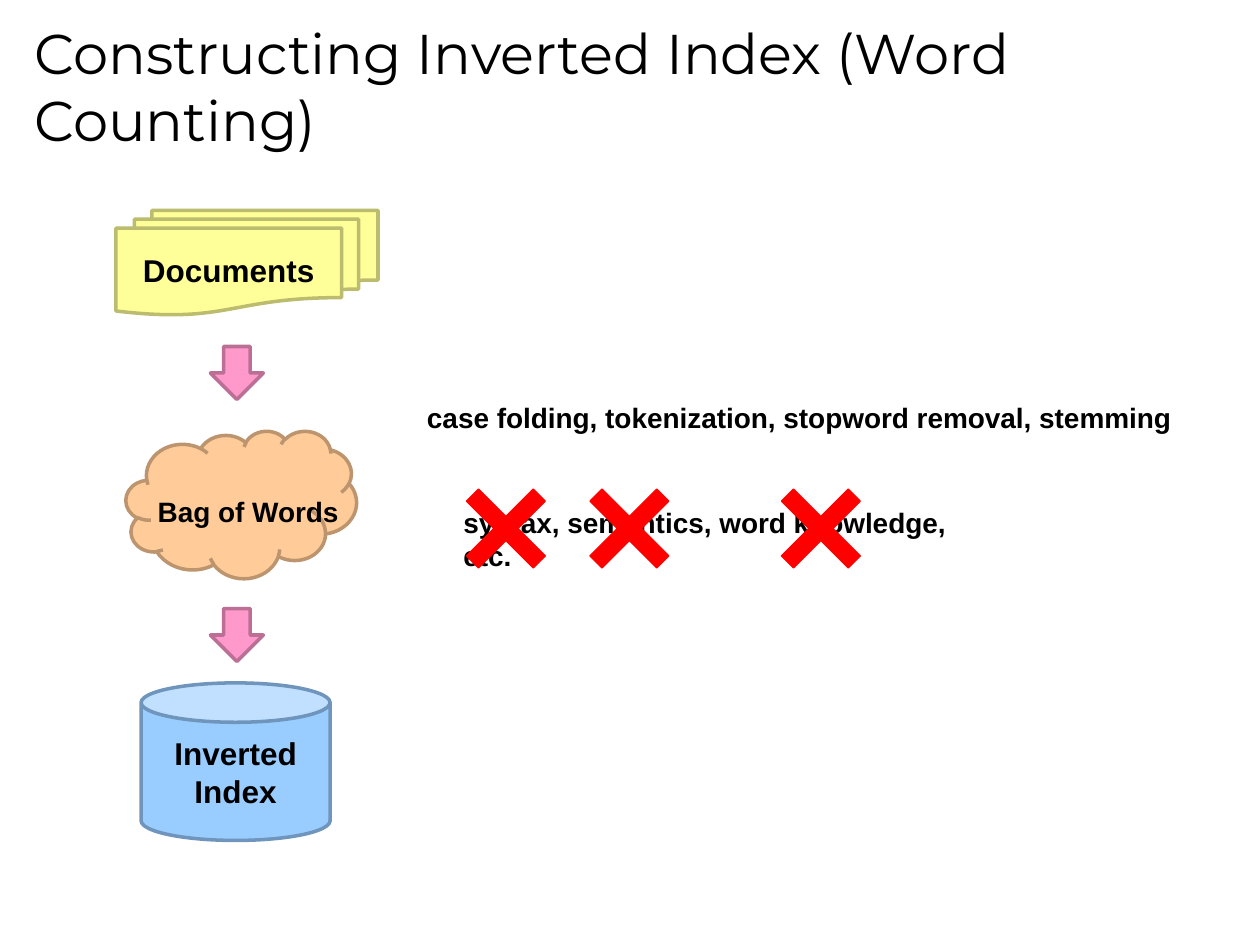
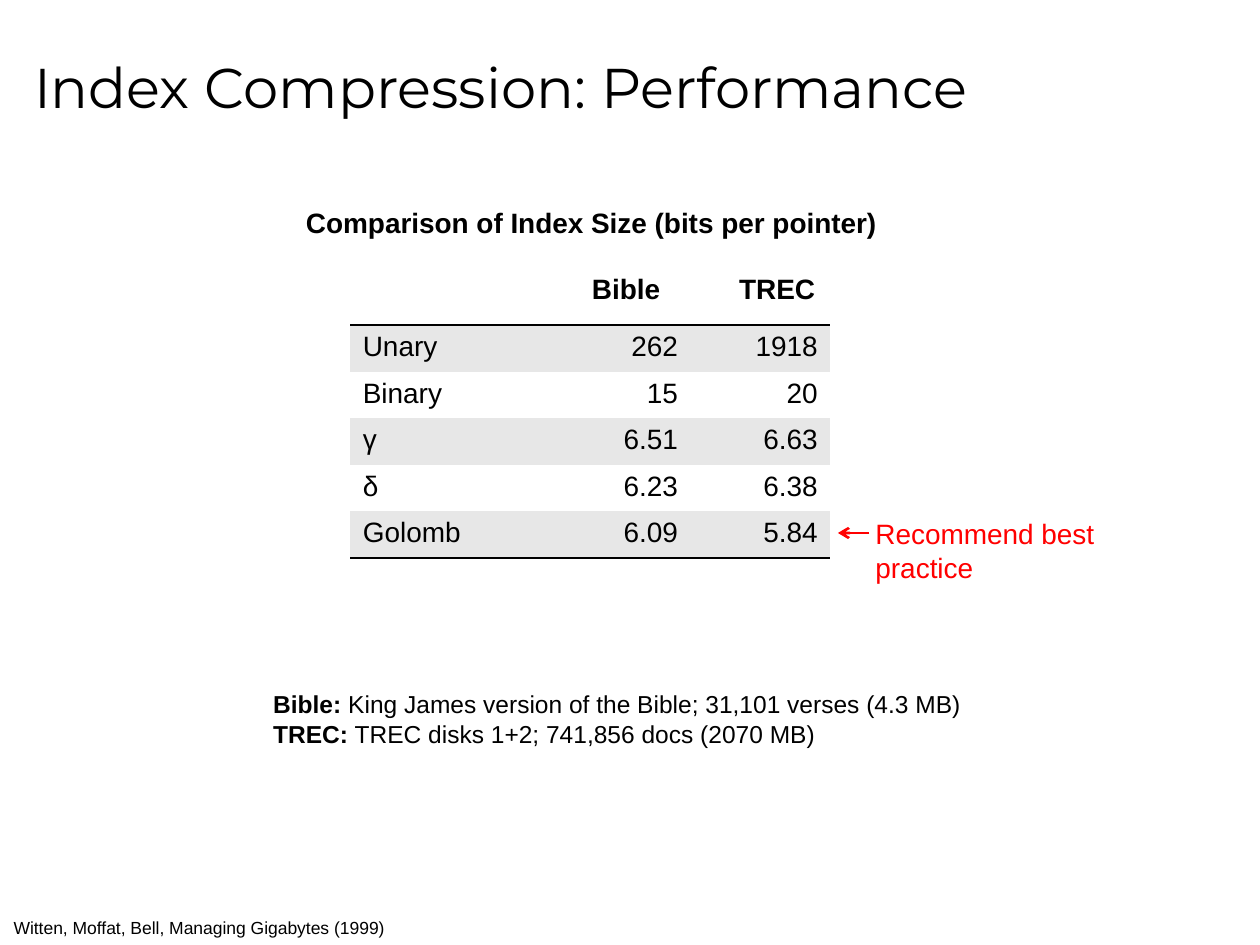
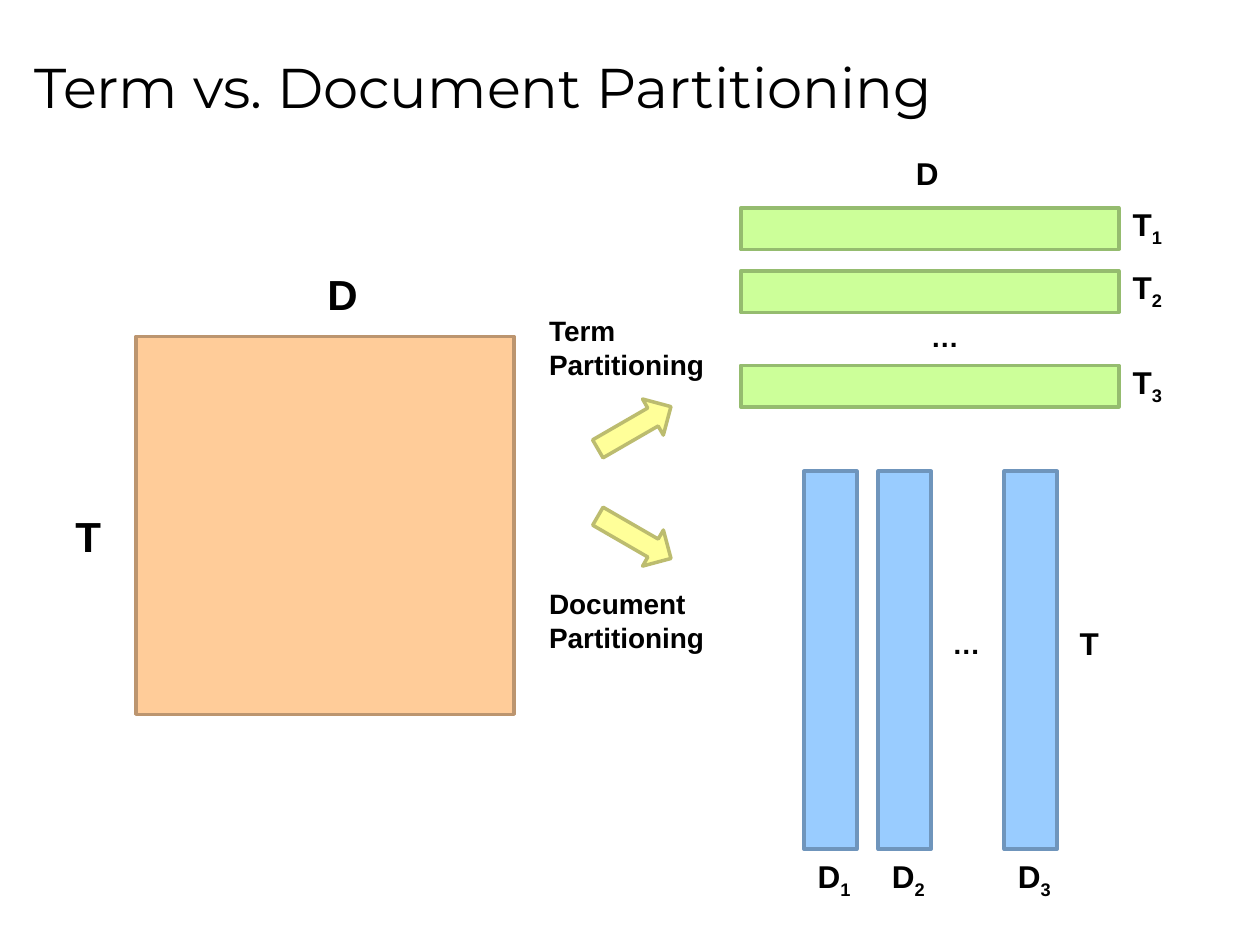
from lxml import etree
from pptx import Presentation
from pptx.dml.color import RGBColor
from pptx.enum import shapes, text
from pptx.oxml import ns
from pptx.util import Inches, Pt

BLACK = RGBColor(0x00, 0x00, 0x00)
WHITE = RGBColor(0xFF, 0xFF, 0xFF)
RED = RGBColor(0xFF, 0x00, 0x00)
GRAY = RGBColor(0xE7, 0xE7, 0xE7)
YELLOW = (RGBColor(0xFF, 0xFF, 0x99), RGBColor(0xBC, 0xBC, 0x6F))
BLUE = (RGBColor(0x99, 0xCC, 0xFF), RGBColor(0x6F, 0x95, 0xBC))
ORANGE = (RGBColor(0xFF, 0xCC, 0x99), RGBColor(0xBC, 0x95, 0x6F))
PINK = (RGBColor(0xFF, 0x99, 0xCC), RGBColor(0xBC, 0x6F, 0x95))
GREEN = (RGBColor(0xCC, 0xFF, 0x99), RGBColor(0x95, 0xBC, 0x6F))
CROSS = (RED, RED)

SHAPE = shapes.MSO_SHAPE
LEFT, CENTER, RIGHT = text.PP_ALIGN.LEFT, text.PP_ALIGN.CENTER, text.PP_ALIGN.RIGHT
NO_STYLE = "{2D5ABB26-0587-4C30-8999-92F81FD0307C}"


def write(tf, lines, size=16, bold=True, color=BLACK, font="Arial", align=LEFT):
    for i, line in enumerate(lines):
        p = tf.add_paragraph() if i else tf.paragraphs[0]
        p.alignment = align
        for words, fmt in [(line, {})] if isinstance(line, str) else line:
            r = p.add_run()
            r.text = words
            r.font.name = font
            r.font.size = Pt(size)
            r.font.bold = fmt.get("bold", bold)
            r.font.color.rgb = color
            if fmt.get("sub"):
                r._r.get_or_add_rPr().set("baseline", "-25000")


def add_title_slide(prs, title):
    s = prs.slides.add_slide(prs.slide_layouts[5])
    sp = s.shapes.title
    sp.left, sp.top, sp.width, sp.height = map(Inches, (0.17, 0.12, 9.5, 1.12))
    tf = sp.text_frame
    tf.vertical_anchor = text.MSO_ANCHOR.MIDDLE
    tf.auto_size = text.MSO_AUTO_SIZE.NONE
    write(tf, [title], size=32, bold=False, font="Montserrat")
    return s


def add_text(s, x, y, w, h, *lines, wrap=False, **fmt):
    tf = s.shapes.add_textbox(*map(Inches, (x, y, w, h))).text_frame
    tf.word_wrap = wrap
    write(tf, lines, **fmt)


def add_indexed(s, x, y, w, letter, index):
    add_text(s, x, y, w, 0.44, [(letter, {}), (str(index), {"sub": True})], size=18)


def add_box(s, kind, x, y, w, h, colors, *lines, size=18, rotation=0, adj=None, width=2):
    sp = s.shapes.add_shape(kind, *map(Inches, (x, y, w, h)))
    sp.shadow.inherit = False
    sp.fill.solid()
    sp.fill.fore_color.rgb, sp.line.color.rgb = colors
    sp.line.width = Pt(width)
    sp.rotation = rotation
    if adj is not None:
        sp.adjustments[0] = adj
    if lines:
        tf = sp.text_frame
        tf.word_wrap = False
        tf.vertical_anchor = text.MSO_ANCHOR.MIDDLE
        write(tf, lines, size=size, align=CENTER)
    return sp


def add_arrow_line(s, x1, y1, x2, y2, color):
    line = s.shapes.add_connector(shapes.MSO_CONNECTOR.STRAIGHT, *map(Inches, (x1, y1, x2, y2)))
    line.line.color.rgb = color
    line.line.width = Pt(1.5)
    etree.SubElement(line.line._get_or_add_ln(), ns.qn("a:tailEnd"), type="arrow")
    etree.SubElement(line._element.spPr, ns.qn("a:effectLst"))


def add_border(cell, side):
    ln = etree.Element(ns.qn("a:" + side), w=str(Pt(0.96)))
    fill = etree.SubElement(ln, ns.qn("a:solidFill"))
    etree.SubElement(fill, ns.qn("a:srgbClr"), val=str(BLACK))
    cell._tc.get_or_add_tcPr().insert(0, ln)


def add_table(s, x, y, widths, rows, bold=False):
    height = 0.37
    size = (sum(widths), height * len(rows))
    table = s.shapes.add_table(len(rows), len(widths), *map(Inches, (x, y, *size))).table
    table.first_row = table.horz_banding = False
    table._tbl.tblPr.find(ns.qn("a:tableStyleId")).text = NO_STYLE
    for column, w in zip(table.columns, widths):
        column.width = Inches(w)
    for row, values in zip(table.rows, rows):
        row.height = Inches(height)
        for cell, (value, align) in zip(row.cells, values):
            cell.fill.background()
            write(cell.text_frame, [value], bold=bold, align=align)
    return table


def build_construction(prs):
    s = add_title_slide(prs, "Constructing Inverted Index (Word Counting)")
    add_box(s, SHAPE.FLOWCHART_MULTIDOCUMENT, 0.92, 1.67, 2.08, 0.83, YELLOW, "Documents")
    add_box(s, SHAPE.CAN, 1.12, 5.42, 1.5, 1.25, BLUE, "Inverted", "Index", adj=0.25)
    cloud = add_box(s, SHAPE.CLOUD, 1, 3.42, 1.83, 1.17, ORANGE, "Bag of Words", size=16)
    cloud.text_frame.margin_left = Inches(0.34)
    cloud.text_frame.margin_top = Inches(0.21)
    for y in (2.75, 4.83):
        add_box(s, SHAPE.RIGHT_ARROW, 1.67, y, 0.42, 0.42, PINK, rotation=90)
    add_text(s, 3.29, 3.13, 6.11, 0.37, "case folding, tokenization, stopword removal, stemming")
    add_text(s, 3.58, 3.96, 4.47, 0.37, "syntax, semantics, word knowledge, etc.")
    for x in (3.64, 4.62, 6.14):
        add_box(s, SHAPE.CROSS, x, 3.82, 0.75, 0.75, CROSS, rotation=45, adj=0.41, width=0.75)


def build_performance(prs):
    s = add_title_slide(prs, "Index Compression: Performance")
    add_text(s, 0.01, 7.23, 3.14, 0.27, "Witten, Moffat, Bell, Managing Gigabytes (1999)",
             size=10, bold=False)
    sizes = [
        ("Unary", "262", "1918"),
        ("Binary", "15", "20"),
        ("γ", "6.51", "6.63"),
        ("δ", "6.23", "6.38"),
        ("Golomb", "6.09", "5.84"),
    ]
    rows = [list(zip(row, (LEFT, RIGHT, RIGHT))) for row in sizes]
    table = add_table(s, 2.78, 2.58, (1.42, 1.28, 1.11), rows)
    for i, row in enumerate(table.rows):
        for cell in row.cells:
            cell.fill.solid()
            cell.fill.fore_color.rgb = WHITE if i % 2 else GRAY
            if i == 0:
                add_border(cell, "lnT")
            elif i == len(sizes) - 1:
                add_border(cell, "lnB")
    add_table(s, 4.11, 2.13, (1.23, 1.23), [[("Bible", RIGHT), ("TREC", RIGHT)]], bold=True)
    add_text(s, 2.07, 5.42, 5.66, 0.57,
             [("Bible:", {"bold": True}),
              (" King James version of the Bible; 31,101 verses (4.3 MB)", {})],
             [("TREC:", {"bold": True}), (" TREC disks 1+2; 741,856 docs (2070 MB)", {})],
             size=14, bold=False)
    add_text(s, 6.85, 4.05, 2.77, 0.37, "Recommend best practice", bold=False, color=RED)
    add_arrow_line(s, 6.9, 4.23, 6.65, 4.23, RED)
    add_text(s, 2.33, 1.58, 4.92, 0.37, "Comparison of Index Size (bits per pointer)", wrap=True)


def build_partitioning(prs):
    s = add_title_slide(prs, "Term vs. Document Partitioning")
    add_box(s, SHAPE.RECTANGLE, 1.08, 2.67, 3, 3, ORANGE)
    add_text(s, 0.5, 4, 0.4, 0.5, "T", size=24)
    add_text(s, 2.5, 2.08, 0.44, 0.5, "D", size=24)

    for i, y in enumerate((1.65, 2.15, 2.9), 1):
        add_box(s, SHAPE.RECTANGLE, 5.88, y, 3, 0.33, GREEN)
        add_indexed(s, 8.89, y - 0.07, 0.43, "T", i)
    add_text(s, 7.29, 2.49, 0.42, 0.37, "…")
    add_text(s, 7.17, 1.17, 0.38, 0.4, "D", size=18)

    for i, x in enumerate((6.38, 6.97, 7.97), 1):
        add_box(s, SHAPE.RECTANGLE, x, 3.74, 0.42, 3, BLUE)
        add_indexed(s, x + 0.01, 6.75, 0.46, "D", i)
    add_text(s, 7.46, 4.92, 0.42, 0.37, "…")
    add_text(s, 8.47, 4.9, 0.35, 0.4, "T", size=18)

    for y, rotation in ((3.23, 330), (4.1, 30)):
        add_box(s, SHAPE.RIGHT_ARROW, 4.7, y, 0.67, 0.33, YELLOW, rotation=rotation)
    for y, word in ((2.44, "Term"), (4.61, "Document")):
        add_text(s, 4.26, y, 1.43, 0.64, word, "Partitioning")


def main():
    prs = Presentation()
    prs.slide_width, prs.slide_height = Inches(10), Inches(7.5)
    build_construction(prs)
    build_performance(prs)
    build_partitioning(prs)
    prs.save("out.pptx")


if __name__ == "__main__":
    main()
